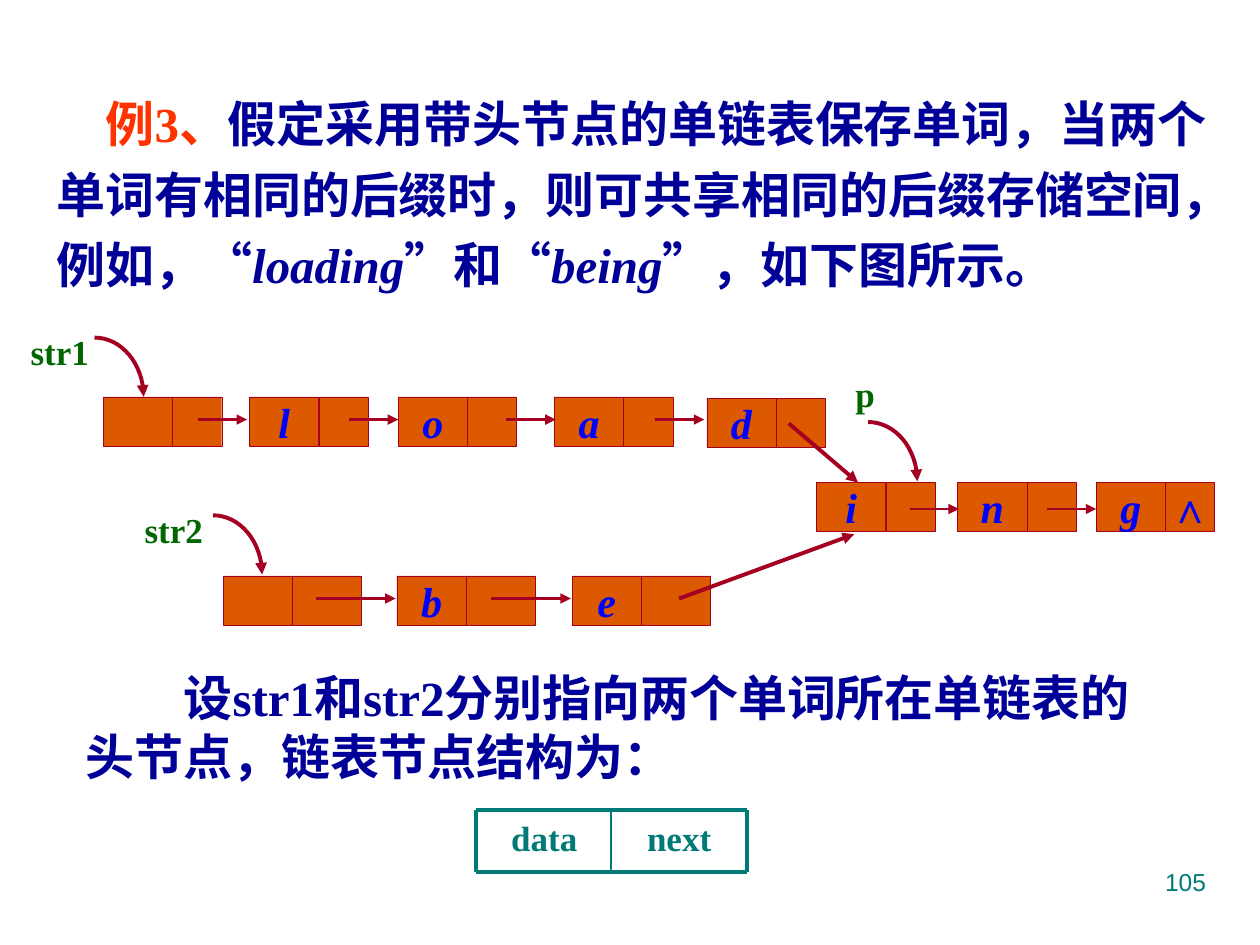
"""Build the slide on two linked lists that share a suffix."""
from math import cos, pi, sin

from lxml.etree import SubElement
from pptx import Presentation
from pptx.dml.color import RGBColor
from pptx.enum.shapes import MSO_CONNECTOR, MSO_SHAPE
from pptx.enum.text import MSO_ANCHOR, PP_ALIGN
from pptx.oxml.ns import qn
from pptx.util import Inches, Pt

RED, NAVY, TEAL = "A50021", "000099", "007A77"


def write(shape, runs, size, align=PP_ALIGN.CENTER, wrap=True, face="Times New Roman", bold=True):
    frame = shape.text_frame
    frame.word_wrap = wrap
    para = frame.paragraphs[0]
    para.alignment = align
    for words, color, slant in runs:
        run = para.add_run()
        run.text = words
        font = run.font
        font.name, font.size, font.bold, font.italic = face, Pt(size), bold, slant
        font.color.rgb = RGBColor.from_string(color)
    return para


def stroke(shape, color, width, head=False):
    shape.line.color.rgb = RGBColor.from_string(color)
    shape.line.width = Pt(width)
    if head:
        SubElement(shape.line._get_or_add_ln(), qn("a:tailEnd"), type="triangle")


deck = Presentation()
deck.slide_width, deck.slide_height = Inches(10), Inches(7.5)
slide = deck.slides.add_slide(deck.slide_layouts[6])
shapes = slide.shapes

intro = [
    ("例3、", "FF3300", False),
    ("假定采用带头节点的单链表保存单词，当两个单词有相同的后缀时，则可共享相同的后缀存储空间，例如，“", NAVY, False),
    ("loading", NAVY, True),
    ("”和“", NAVY, False),
    ("being", NAVY, True),
    ("”，如下图所示。", NAVY, False),
]
task = [("设str1和str2分别指向两个单词所在单链表的头节点，链表节点结构为：", NAVY, False)]
for area, runs, indent, space in [
    ((0.35, 0.6, 9.45, 1.78), intro, 0.39, 1.2),
    ((0.58, 5.25, 8.74, 1.03), task, 0.78, 1.0),
]:
    box = shapes.add_textbox(*map(Inches, area))
    para = write(box, runs, 28, PP_ALIGN.LEFT)
    para.line_spacing = space
    para._p.get_or_add_pPr().set("indent", str(Inches(indent)))

high, data = 0.39, 0.55
nodes = [
    (0.82, 3.15, 0.39, "", ""),
    (1.98, 3.15, 0.39, "l", ""),
    (3.16, 3.15, 0.39, "o", ""),
    (4.4, 3.15, 0.39, "a", ""),
    (5.61, 3.16, 0.39, "d", ""),
    (6.48, 3.83, 0.39, "i", ""),
    (7.6, 3.83, 0.39, "n", ""),
    (8.7, 3.83, 0.39, "g", "∧"),
    (1.77, 4.57, 0.55, "", ""),
    (3.15, 4.57, 0.55, "b", ""),
    (4.54, 4.57, 0.55, "e", ""),
]
for left, top, link, char, mark in nodes:
    for x, wide, sign, slant in [(left, data, char, True), (left + data, link, mark, False)]:
        cell = shapes.add_shape(MSO_SHAPE.RECTANGLE, Inches(x), Inches(top), Inches(wide), Inches(high))
        cell.shadow.inherit = False
        cell.fill.solid()
        cell.fill.fore_color.rgb = RGBColor.from_string("DC5900")
        stroke(cell, RED, 0.25)
        if sign:
            cell.text_frame.vertical_anchor = MSO_ANCHOR.MIDDLE
            write(cell, [(sign, "0000FF", slant)], 24, wrap=False)

lines = [((x, 3.33, x + 0.39, 3.33), RED, 1.5, True) for x in (1.57, 2.77, 4.02, 5.2)]
lines += [((x, 4.04, x + 0.39, 4.04), RED, 1.5, True) for x in (7.22, 8.31)]
lines += [((x, 4.75, x + 0.63, 4.75), RED, 1.5, True) for x in (2.51, 3.9)]
lines += [((6.26, 3.36, 6.81, 3.83), RED, 2.25, True), ((5.39, 4.75, 6.78, 4.24), RED, 2.25, True)]
lines += [((3.78, y, 5.93, y), TEAL, 2.25, False) for y in (6.43, 6.92)]
lines += [((x, 6.43, x, 6.92), TEAL, w, False) for x, w in ((3.78, 2.25), (4.85, 1), (5.93, 2.25))]
for ends, color, width, head in lines:
    line = shapes.add_connector(MSO_CONNECTOR.STRAIGHT, *map(Inches, ends))
    stroke(line, color, width, head)
    SubElement(line._element.spPr, qn("a:effectLst"))

steps = 16
angles = [pi / 2 * k / steps for k in range(steps + 1)]
for left, top in [(0.75, 2.68), (1.69, 4.09), (6.89, 3.35)]:
    points = [(Inches(left + 0.39 * sin(a)), Inches(top + 0.47 * (1 - cos(a)))) for a in angles]
    pen = shapes.build_freeform(*points[0])
    pen.add_line_segments(points[1:], close=False)
    curve = pen.convert_to_shape()
    curve.shadow.inherit = False
    curve.fill.background()
    stroke(curve, RED, 2.25, True)

for words, area, color in [
    ("str1", (0.04, 2.57, 0.87, 0.43), "006600"),
    ("str2", (0.91, 3.99, 0.94, 0.43), "006600"),
    ("p", (6.67, 2.91, 0.39, 0.43), "006600"),
    ("data", (3.78, 6.43, 1.08, 0.49), TEAL),
    ("next", (4.85, 6.43, 1.08, 0.49), TEAL),
]:
    write(shapes.add_textbox(*map(Inches, area)), [(words, color, False)], 20)

page = shapes.add_textbox(Inches(7.17), Inches(6.83), Inches(2.5), Inches(0.52))
write(page, [("105", TEAL, False)], 14, PP_ALIGN.RIGHT, face="Arial", bold=False)

deck.save("out.pptx")
